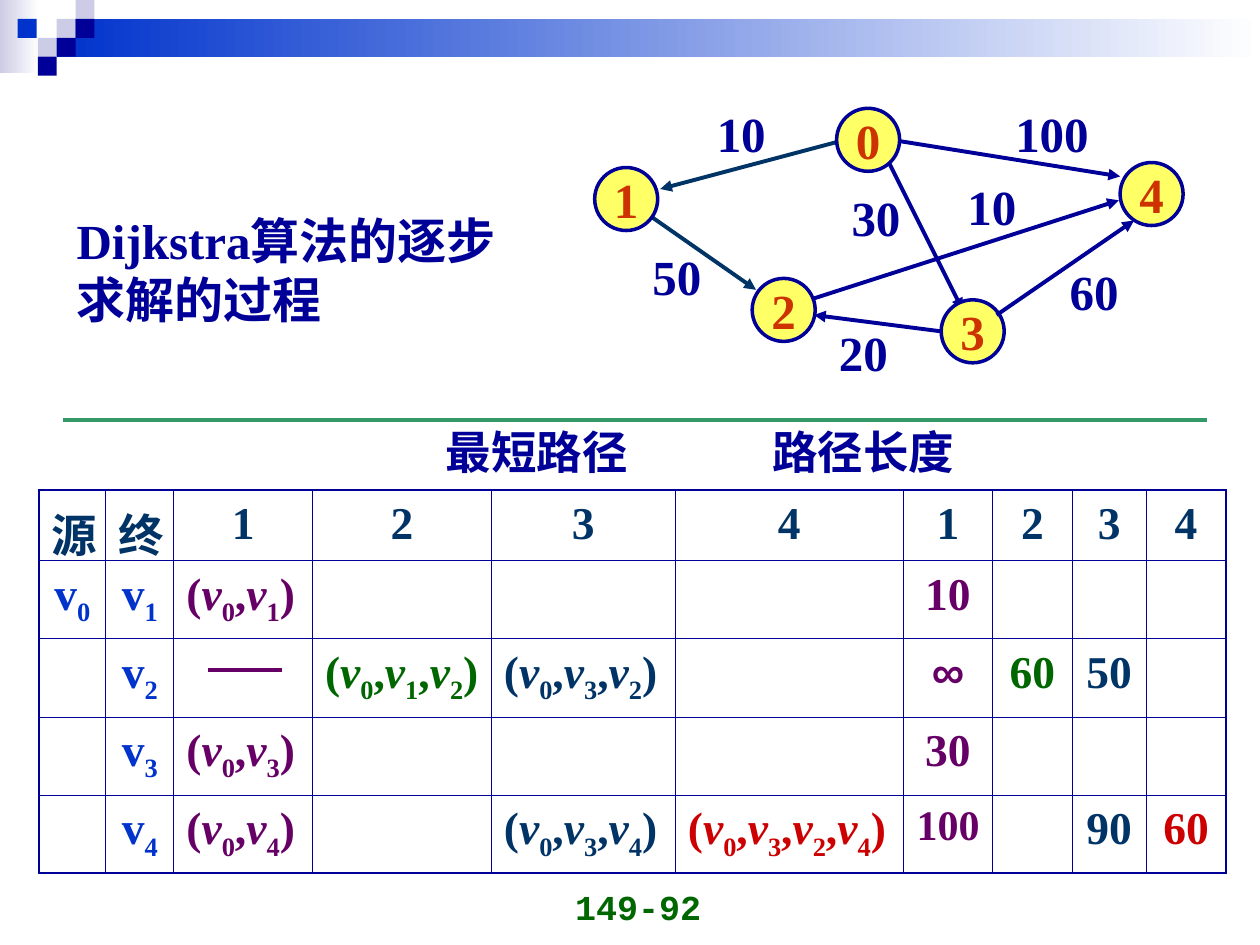
from pptx import Presentation
from pptx.dml.color import RGBColor
from pptx.enum.shapes import MSO_CONNECTOR, MSO_SHAPE
from pptx.enum.text import MSO_ANCHOR as Anchor, MSO_AUTO_SIZE as AutoSize, PP_ALIGN as Align
from pptx.oxml.ns import qn
from pptx.util import Inches, Pt
from lxml.etree import SubElement

NAVY = RGBColor(0x00, 0x00, 0x99)
BLUE = RGBColor(0x00, 0x33, 0xCC)
LAVENDER = RGBColor(0xCC, 0xCC, 0xE6)
WHITE = RGBColor(0xFF, 0xFF, 0xFF)
TEAL = RGBColor(0x00, 0x33, 0x66)
PURPLE = RGBColor(0x66, 0x00, 0x66)
GREEN = RGBColor(0x00, 0x66, 0x00)
RED = RGBColor(0xCC, 0x00, 0x00)
RUST = RGBColor(0xCC, 0x33, 0x00)
YELLOW = RGBColor(0xFF, 0xFF, 0x66)
RULE_GREEN = RGBColor(0x33, 0x99, 0x66)
SERIF, SANS, MONO, CJK = "Times New Roman", "Arial", "Courier New", "Noto Sans CJK SC"

# Content: header decoration
GRADIENTS = [(0, 0, 0.31, 0.58, LAVENDER), (0.45, 0.15, 9.55, 0.3, BLUE)]
SQUARE = 0.15
SQUARES = [(0.45, 0.15, LAVENDER), (0.6, 0, LAVENDER), (0.6, 0.15, NAVY), (0.3, 0.3, LAVENDER),
           (0.14, 0.15, BLUE), (0.45, 0.3, NAVY), (0.3, 0.45, NAVY)]

# Content: graph
TITLE = ["Dijkstra算法的逐步", "求解的过程"]
NODE_SIZE = 0.5
NODES = [("1", 4.72, 1.33), ("0", 6.64, 0.86), ("4", 8.89, 1.29), ("3", 7.47, 2.38), ("2", 5.97, 2.21)]
EDGES_BEHIND = [((6.89, 0.96), (7.64, 2.46), NAVY), ((7.47, 2.63), (6.46, 2.5), NAVY),
                ((6.3, 2.42), (8.88, 1.59), NAVY), ((6.89, 1.08), (8.89, 1.4), NAVY),
                ((5.04, 1.63), (6, 2.3), TEAL), ((6.82, 1.08), (5.24, 1.5), TEAL)]
EDGE_IN_FRONT = ((7.91, 2.5), (9, 1.75), NAVY)
WEIGHTS = [("10", 5.59, 0.77), ("100", 7.96, 0.77), ("30", 6.66, 1.44), ("50", 5.08, 1.91),
           ("20", 6.56, 2.51), ("60", 8.39, 2.03), ("10", 7.58, 1.35)]

# Content: table, as (row, column): (text, colour)
COLUMNS = [0.53, 0.54, 1.1, 1.42, 1.46, 1.81, 0.71, 0.63, 0.59, 0.63]
ROWS = [0.56] + [0.62] * 4
HEADINGS = ["源", "终", "1", "2", "3", "4", "1", "2", "3", "4"]
CELLS = {(0, column): (text, TEAL) for column, text in enumerate(HEADINGS)}
CELLS |= {(row, 1): (f"v{row}", BLUE) for row in range(1, 5)}
CELLS |= {
    (1, 0): ("v0", BLUE), (1, 2): ("(v0,v1)", PURPLE), (1, 6): ("10", PURPLE),
    (2, 3): ("(v0,v1,v2)", GREEN), (2, 4): ("(v0,v3,v2)", TEAL), (2, 6): ("∞", PURPLE),
    (2, 7): ("60", GREEN), (2, 8): ("50", TEAL),
    (3, 2): ("(v0,v3)", PURPLE), (3, 6): ("30", PURPLE),
    (4, 2): ("(v0,v4)", PURPLE), (4, 4): ("(v0,v3,v4)", TEAL), (4, 5): ("(v0,v3,v2,v4)", RED),
    (4, 6): ("100", PURPLE), (4, 8): ("90", TEAL), (4, 9): ("60", RED),
}


def write(para, text, size=28, color=NAVY, font=SERIF, align=Align.LEFT):
    """Add bold text; in vertex names the digits become subscripts."""
    para.alignment = align
    has_vertices = text.startswith(("v", "(v"))
    for part in text if has_vertices else [text]:
        span = para.add_run()
        span.text = part
        span.font.size, span.font.bold, span.font.name = Pt(size), True, font
        span.font.color.rgb = color
        props = span._r.get_or_add_rPr()
        SubElement(props, qn("a:ea")).set("typeface", CJK)
        if has_vertices and part.isdigit():
            props.set("baseline", "-25000")
        elif part == "v" and text.startswith("("):
            span.font.italic = True


def add_text(page, lines, left, top, width, height, wrap=False, anchor=Anchor.TOP, **style):
    frame = page.shapes.add_textbox(*map(Inches, (left, top, width, height))).text_frame
    frame.word_wrap = wrap
    frame.auto_size = AutoSize.NONE if wrap else AutoSize.SHAPE_TO_FIT_TEXT
    frame.vertical_anchor = anchor
    for index, line in enumerate(lines):
        write(frame.add_paragraph() if index else frame.paragraphs[0], line, **style)
    return frame


def add_block(page, kind, left, top, width, height):
    shape = page.shapes.add_shape(kind, *map(Inches, (left, top, width, height)))
    shape.shadow.inherit = False
    shape.line.fill.background()
    return shape


def add_line(page, start, end, color, arrow=False):
    line = page.shapes.add_connector(MSO_CONNECTOR.STRAIGHT, *map(Inches, start + end))
    line.line.color.rgb, line.line.width = color, Pt(2.25)
    SubElement(line._element.spPr, qn("a:effectLst"))
    if arrow:
        SubElement(line.line._get_or_add_ln(), qn("a:tailEnd")).set("type", "triangle")


def add_borders(cell, row, column):
    outer = {"L": column == 0, "R": column == len(COLUMNS) - 1,
             "T": row == 0, "B": row == len(ROWS) - 1}
    props = cell._tc.get_or_add_tcPr()
    for side, is_outer in outer.items():
        border = SubElement(props, qn(f"a:ln{side}"), w=str(Pt(1.08 if is_outer else 0.45)))
        SubElement(SubElement(border, qn("a:solidFill")), qn("a:srgbClr"), val=str(NAVY))


def add_path_table(page):
    table = page.shapes.add_table(len(ROWS), len(COLUMNS), Inches(0.31), Inches(3.89),
                                  Inches(sum(COLUMNS)), Inches(sum(ROWS))).table
    table.first_row = table.horz_banding = False
    for column, width in enumerate(COLUMNS):
        table.columns[column].width = Inches(width)
    for row, height in enumerate(ROWS):
        table.rows[row].height = Inches(height)
        for column in range(len(COLUMNS)):
            cell = table.cell(row, column)
            add_borders(cell, row, column)
            cell.fill.background()
            cell.margin_bottom = 0
            if (row, column) in CELLS:
                text, color = CELLS[row, column]
                para = cell.text_frame.paragraphs[0]
                para.line_spacing = 1.05
                write(para, text, color=color, size=24 if text == "100" else 26,
                      font=SANS if text == "∞" else SERIF,
                      align=Align.LEFT if text.startswith("(") else Align.CENTER)


def main():
    deck = Presentation()
    deck.slide_width, deck.slide_height = Inches(10), Inches(7.5)
    page = deck.slides.add_slide(deck.slide_layouts[6])

    # Header decoration
    for *place, color in GRADIENTS:
        fill = add_block(page, MSO_SHAPE.RECTANGLE, *place).fill
        fill.gradient()
        fill.gradient_angle = 0
        for stop, position, shade in zip(fill.gradient_stops, (0, 1), (color, WHITE)):
            stop.position, stop.color.rgb = position, shade
    for left, top, color in SQUARES:
        square = add_block(page, MSO_SHAPE.RECTANGLE, left, top, SQUARE, SQUARE)
        square.fill.solid()
        square.fill.fore_color.rgb = color

    # Page number and title
    add_text(page, ["149-92"], 3.9, 6.91, 2.33, 0.5, wrap=True, anchor=Anchor.BOTTOM,
             size=20, color=GREEN, font=MONO, align=Align.CENTER)
    add_text(page, TITLE, 0.51, 1.62, 3.61, 1.04)

    # Graph
    for edge in EDGES_BEHIND:
        add_line(page, *edge, arrow=True)
    for name, left, top in NODES:
        node = add_block(page, MSO_SHAPE.OVAL, left, top, NODE_SIZE, NODE_SIZE)
        node.fill.solid()
        node.fill.fore_color.rgb = YELLOW
        node.line.color.rgb, node.line.width = NAVY, Pt(2)
        node.text_frame.word_wrap = False
        write(node.text_frame.paragraphs[0], name, color=RUST, align=Align.CENTER)
    add_line(page, *EDGE_IN_FRONT, arrow=True)
    for weight, left, top in WEIGHTS:
        add_text(page, [weight], left, top, 0.2 + 0.195 * len(weight), 0.57)

    # Table headings, rule and table
    frame = add_text(page, ["最短路径\t路径长度"], 3.44, 3.32, 5.62, 0.54, wrap=True, size=26, font=CJK)
    tabs = SubElement(frame.paragraphs[0]._p.get_or_add_pPr(), qn("a:tabLst"))
    SubElement(tabs, qn("a:tab"), pos=str(Inches(2.59)), algn="l")
    add_line(page, (0.5, 3.33), (9.58, 3.33), RULE_GREEN)
    add_path_table(page)
    add_line(page, (1.65, 5.32), (2.24, 5.32), PURPLE)

    deck.save("out.pptx")


if __name__ == "__main__":
    main()
